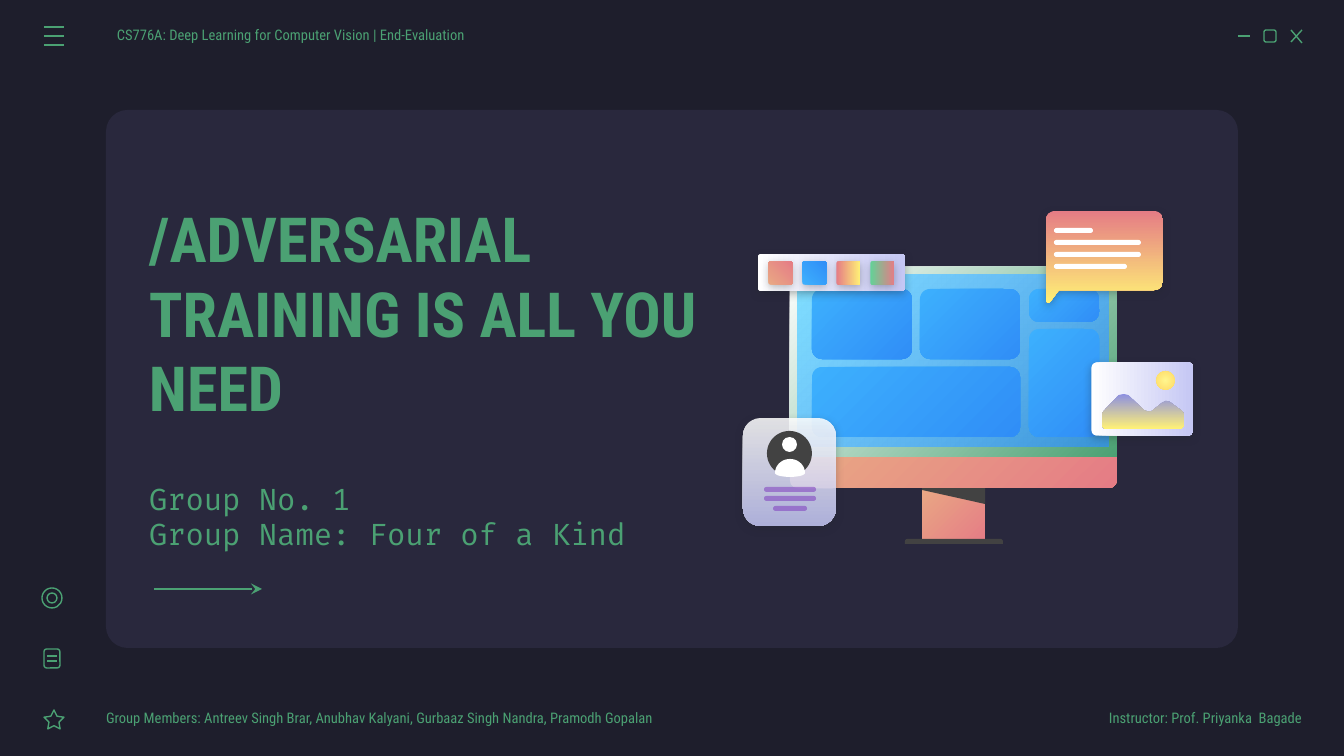
from math import cos, radians, sin

from lxml.etree import SubElement
from pptx import Presentation
from pptx.dml.color import RGBColor
from pptx.enum.shapes import MSO_CONNECTOR, MSO_SHAPE
from pptx.enum.text import MSO_ANCHOR, PP_ALIGN
from pptx.oxml.ns import qn
from pptx.util import Pt

PX = 9144000 / 1344  # EMU in one px

THEME = {
    "page": "1E1E2C", "card": "29283D", "green": "4BA173", "dark": "424242",
    "white": "FFFFFF", "purple": "7E3BBE", "shadow": "202729",
    # start colour, end colour, clockwise angle
    "coral": ("E9A984", "E57C85", 45), "frame": ("FFFFFF", "4BA173", 45),
    "screen": ("80DFFF", "318FFA", 45), "tile": ("3DB0FD", "308EF7", 45),
    "sunset": ("E57C85", "FFF176", 90), "meadow": ("63D297", "E57C85", 90),
    "paper": ("FFFFFF", "C5C7F4", 90), "hills": ("8D90E1", "FFF176", 90),
    "sun": ("FFF68E", "FFD966", 0),
    "display": "Roboto Condensed", "code": "Fira Code",
    "title": 33.3, "subtitle": 16, "small": 7.8, "stroke": 0.75,
}

deck = Presentation()
deck.slide_width, deck.slide_height = round(1344 * PX), round(756 * PX)
page = deck.slides.add_slide(deck.slide_layouts[6])
page.background.fill.solid()
page.background.fill.fore_color.rgb = RGBColor.from_string(THEME["page"])


def paint(shape, fill, opacity=(100, 100), shadow=False):
    """Fill with a theme colour or gradient; with fill None, draw a green outline."""
    shape.shadow.inherit = False
    properties = shape.element.spPr
    if fill is None:
        shape.fill.background()
        shape.line.color.rgb = RGBColor.from_string(THEME["green"])
        shape.line.width = Pt(THEME["stroke"])
        return shape
    shape.line.fill.background()
    if isinstance(THEME[fill], str):
        shape.fill.solid()
        shape.fill.fore_color.rgb = RGBColor.from_string(THEME[fill])
    else:
        *colours, angle = THEME[fill]
        shape.fill.gradient()
        shape.fill.gradient_angle = -angle % 360
        for stop, colour in zip(shape.fill.gradient_stops, colours):
            stop.color.rgb = RGBColor.from_string(colour)
    for colour, percent in zip(properties.iter(qn("a:srgbClr")), opacity):
        if percent < 100:
            SubElement(colour, qn("a:alpha"), val=str(percent * 1000))
    if shadow:
        effect = SubElement(properties.find(qn("a:effectLst")), qn("a:outerShdw"),
                            blurRad=str(Pt(4.5)), dist=str(Pt(1.5)), dir="5400000",
                            algn="bl", rotWithShape="0")
        colour = SubElement(effect, qn("a:srgbClr"), val=THEME["shadow"])
        SubElement(colour, qn("a:alpha"), val="30000")
    return shape


def draw(outline, bounds, fill, adjust=(), rotation=0, **finish):
    """Add a preset shape, or a freeform when outline is a list of points."""
    if isinstance(outline, list):
        points = [(x * PX, y * PX) for x, y in outline]
        builder = page.shapes.build_freeform(*points[0])
        builder.add_line_segments(points[1:], close=True)
        shape = builder.convert_to_shape()
    else:
        shape = page.shapes.add_shape(outline, *(round(v * PX) for v in bounds))
        for index, value in enumerate(adjust):
            shape.adjustments[index] = value
        shape.rotation = rotation
    return paint(shape, fill, **finish)


ROUND, OVAL = MSO_SHAPE.ROUNDED_RECTANGLE, MSO_SHAPE.OVAL
RECT, ROUND_ENDS = MSO_SHAPE.RECTANGLE, MSO_SHAPE.ROUND_2_SAME_RECTANGLE

draw(ROUND, (106, 110, 1132, 538), "card", [0.04])

# Text
texts = [
    ("Group No. 1\nGroup Name: Four of a Kind", (136, 454, 548, 124),
     (13, 13), "subtitle", "code", False, {}),
    ("CS776A: Deep Learning for Computer Vision | End-Evaluation",
     (117, 16, 441, 40), (0, 13), "small", "display", False, {"line_spacing": 0.8}),
    ("/ADVERSARIAL TRAINING IS ALL YOU NEED", (136, 194, 601, 237),
     (13, 13), "title", "display", True, {}),
    ("Instructor: Prof. Priyanka  Bagade", (1001, 699, 301, 40),
     (13, 0), "small", "display", False,
     {"line_spacing": 0.8, "alignment": PP_ALIGN.RIGHT}),
    ("Group Members: Antreev Singh Brar, Anubhav Kalyani, "
     "Gurbaaz Singh Nandra, Pramodh Gopalan", (93, 699, 687, 40),
     (13, 0), "small", "display", False, {"line_spacing": 0.8}),
]
for words, bounds, (left, right), size, font, bold, layout in texts:
    box = page.shapes.add_textbox(*(round(v * PX) for v in bounds))
    frame = box.text_frame
    frame_format = {
        "word_wrap": True, "vertical_anchor": MSO_ANCHOR.MIDDLE,
        "margin_left": round(left * PX), "margin_right": round(right * PX),
        "margin_top": round(13 * PX), "margin_bottom": round(13 * PX),
    }
    for name, value in frame_format.items():
        setattr(frame, name, value)
    frame.text = words
    for para in frame.paragraphs:
        for name, value in layout.items():
            setattr(para, name, value)
        for span in para.runs:
            span_format = {"name": THEME[font], "size": Pt(THEME[size]), "bold": bold}
            for name, value in span_format.items():
                setattr(span.font, name, value)
            span.font.color.rgb = RGBColor.from_string(THEME["green"])

# Monitor
draw(RECT, (922, 485, 63, 58), "coral")
draw(ROUND_ENDS, (905, 539, 98, 5), "dark", [0.5, 0])
draw([(922, 485), (922, 490), (985, 504), (985, 485)], None, "dark")
draw(ROUND_ENDS, (790, 456, 327, 32), "coral", [0, 0.25])
draw(ROUND_ENDS, (790, 267, 327, 190), "frame", [0.04, 0])
draw(RECT, (798, 275, 311, 172), "screen", opacity=(100, 72))
for tile in [(812, 289, 100, 70), (812, 367, 208, 70), (920, 289, 100, 70),
             (1029, 289, 70, 33), (1029, 329, 70, 108)]:
    draw(ROUND, tile, "tile", [10 / min(tile[2:])])

# Speech bubble
bubble = []
for x, y, start in [(1154, 220, -90), (1154, 281, 0), (1055, 220, 180)]:
    if start == 180:
        bubble += [(1059, 290), (1050, 302), (1048, 303), (1046, 301)]
    bubble += [(x + 9 * cos(radians(start + turn)), y + 9 * sin(radians(start + turn)))
               for turn in range(0, 91, 10)]
draw(bubble, None, "sunset", shadow=True)
for row, width in enumerate([39, 87, 87, 73]):
    draw(ROUND, (1054, 228 + 12 * row, width, 5), "white", [0.5])

# Profile card
draw(ROUND, (743, 418, 93, 108), "paper", [0.19], opacity=(86, 86), shadow=True)
draw(OVAL, (767, 431, 45, 45), "dark")
draw(OVAL, (782, 437, 15, 15), "white")
shoulders = [(790 + 15 * cos(radians(turn)),
              473 + (4 if turn < 180 else 14) * sin(radians(turn)))
             for turn in range(0, 360, 10)]
draw(shoulders, None, "white")
for x, y, width in [(764, 487, 52), (764, 496, 52), (773, 506, 34)]:
    draw(ROUND, (x, y, width, 5), "purple", [0.5], opacity=(54,))

# Photo
draw(ROUND, (1106, 348, 73, 102), "paper", [0.07], 270, shadow=True)
draw([(1124, 394), (1119, 395), (1104, 411), (1102, 414), (1102, 426), (1105, 429),
      (1181, 429), (1184, 426), (1184, 414), (1182, 411), (1170, 402), (1166, 401),
      (1162, 403), (1152, 411), (1148, 412), (1144, 410), (1128, 395)], None, "hills")
sun = draw(OVAL, (1156, 371, 19, 19), "sun")
gradient = sun.element.spPr.find(qn("a:gradFill"))
gradient.remove(gradient.find(qn("a:lin")))
glow = SubElement(gradient, qn("a:path"), path="circle")
SubElement(glow, qn("a:fillToRect"), dict.fromkeys("ltrb", "50000"))

# Palette
draw(ROUND, (813, 199, 37, 147), "paper", [0.07], 270, shadow=True)
for column, swatch in enumerate(["coral", "tile", "sunset", "meadow"]):
    draw(ROUND, (769 + 34 * column, 261, 23, 24), swatch, [0.07], 270, shadow=True)

# Icons
draw(ROUND, (1264, 30, 12, 12), None, [0.17])
draw(MSO_SHAPE.STAR_5_POINT, (44, 710, 20, 19), None, [0.25])
draw(ROUND, (44, 649, 16, 19), None, [0.17])
draw(OVAL, (42, 588, 20, 20), None)
draw(OVAL, (47, 593, 10, 10), None)

window_lines = [(1238, 36, 1250, 36), (1291, 30, 1302, 43), (1302, 30, 1291, 42)]
menu_lines = [(44, y, 64, y) for y in (27, 36, 45)]
note_lines = [(47, y, 57, y) for y in (656, 661)]
arrow = (154, 589, 262, 589)
for ends in [*window_lines, *menu_lines, *note_lines, arrow]:
    line = page.shapes.add_connector(MSO_CONNECTOR.STRAIGHT,
                                     *(round(v * PX) for v in ends))
    line.line.color.rgb = RGBColor.from_string(THEME["green"])
    line.line.width = Pt(THEME["stroke"])
    if ends == arrow:
        SubElement(line.element.spPr.find(qn("a:ln")), qn("a:tailEnd"),
                   type="stealth", w="med", len="med")
    SubElement(line.element.spPr, qn("a:effectLst"))

deck.save("out.pptx")
